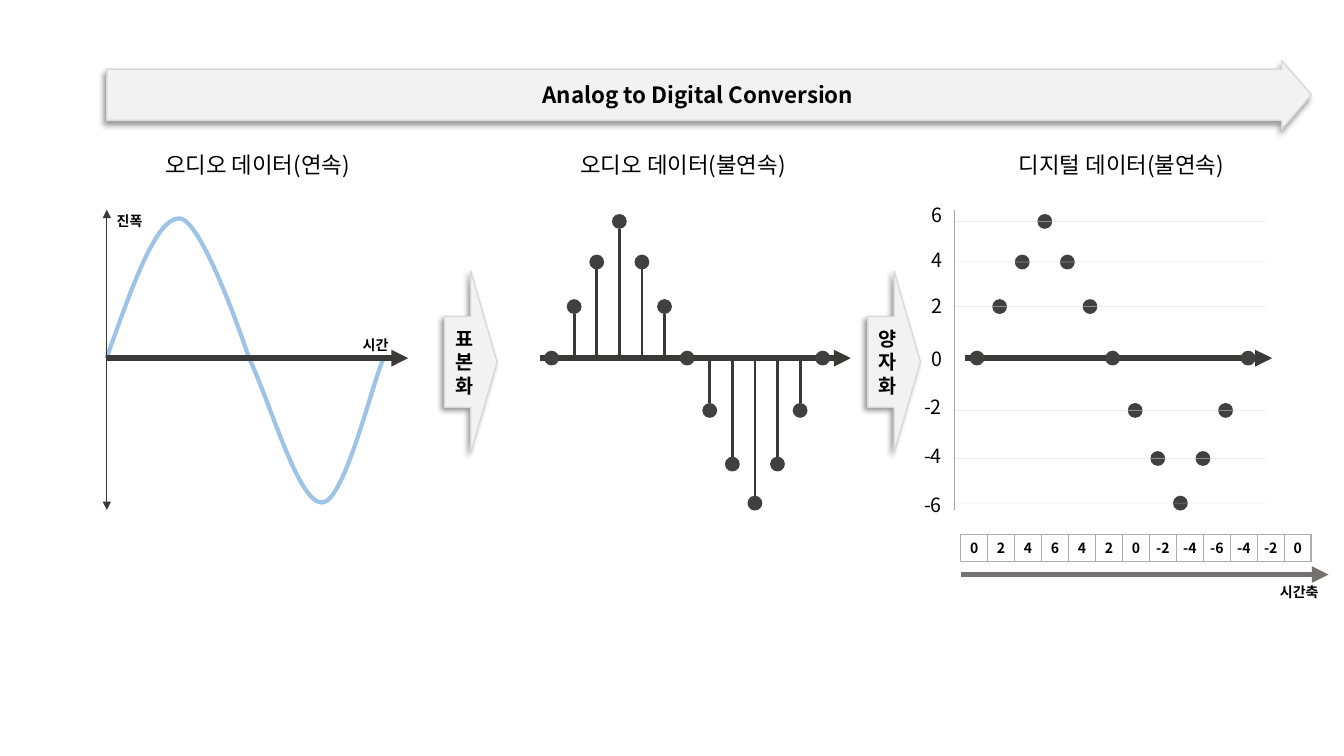
from dataclasses import dataclass

from lxml import etree
from pptx import Presentation
from pptx.dml.color import RGBColor
from pptx.enum.shapes import MSO_CONNECTOR, MSO_SHAPE
from pptx.enum.text import MSO_ANCHOR, MSO_AUTO_SIZE, PP_ALIGN
from pptx.oxml import parse_xml
from pptx.oxml.ns import nsdecls, qn
from pptx.util import Pt


@dataclass(frozen=True)
class Theme:
    font: str = "Noto Sans CJK KR"
    ink: str = "000000"
    wave: str = "9DC3E6"
    axis: str = "3B3838"
    time_axis: str = "767171"
    dot: str = "404040"
    arrow_fill: str = "F2F2F2"
    arrow_edge: str = "D9D9D9"
    grid: str = "D9D9D9"
    scale: str = "A5A5A5"
    cell_edge: str = "AFABAB"
    title: int = 16
    level: int = 14
    small: int = 10


class Diagram:
    def __init__(self, slide, theme):
        self.shapes = slide.shapes
        self.theme = theme

    def set_text(self, shape, text, size, bold=False, align=PP_ALIGN.CENTER, **frame_format):
        frame = shape.text_frame
        for name, value in frame_format.items():
            setattr(frame, name, value)
        paragraph = frame.paragraphs[0]
        paragraph.alignment = align
        run = paragraph.add_run()
        run.text = text
        for name, value in {"name": self.theme.font, "size": Pt(size), "bold": bold}.items():
            setattr(run.font, name, value)
        run.font.color.rgb = RGBColor.from_string(self.theme.ink)
        east_asian = etree.SubElement(run.font._element, qn("a:ea"))
        east_asian.set("typeface", self.theme.font)

    def label(self, text, left, top, width, height, size, bold=False, wrap=False,
              align=PP_ALIGN.LEFT):
        box = self.shapes.add_textbox(Pt(left), Pt(top), Pt(width), Pt(height))
        self.set_text(box, text, size, bold, align, word_wrap=wrap,
                      auto_size=MSO_AUTO_SIZE.SHAPE_TO_FIT_TEXT)

    def solid(self, kind, left, top, width, height, fill=None, edge=None):
        shape = self.shapes.add_shape(kind, Pt(left), Pt(top), Pt(width), Pt(height))
        shape.shadow.inherit = False
        if fill:
            shape.fill.solid()
            shape.fill.fore_color.rgb = RGBColor.from_string(fill)
        else:
            shape.fill.background()
        if edge:
            shape.line.color.rgb = RGBColor.from_string(edge)
            shape.line.width = Pt(1)
        else:
            shape.line.fill.background()
        return shape

    def block_arrow(self, text, left, top, width, height, size, adjustments=(0.5, 0.5)):
        """Draw a pale right arrow with a soft shadow to its lower left."""
        arrow = self.solid(MSO_SHAPE.RIGHT_ARROW, left, top, width, height,
                           self.theme.arrow_fill, self.theme.arrow_edge)
        for index, value in enumerate(adjustments):
            arrow.adjustments[index] = value
        effects = arrow._element.spPr.find(qn("a:effectLst"))
        effects.append(parse_xml(
            f'<a:outerShdw {nsdecls("a")} blurRad="{Pt(4)}" dist="{Pt(3)}" dir="8100000" '
            'algn="tr" rotWithShape="0"><a:srgbClr val="000000"><a:alpha val="40000"/>'
            '</a:srgbClr></a:outerShdw>'))
        self.set_text(arrow, text, size, True, word_wrap=True,
                      vertical_anchor=MSO_ANCHOR.MIDDLE)

    def cell(self, text, left, top, width, height):
        box = self.solid(MSO_SHAPE.RECTANGLE, left, top, width, height, edge=self.theme.cell_edge)
        margins = {f"margin_{side}": 0 for side in ("left", "top", "right", "bottom")}
        self.set_text(box, text, self.theme.small, True, word_wrap=True,
                      vertical_anchor=MSO_ANCHOR.MIDDLE, **margins)

    def dot(self, x, y):
        self.solid(MSO_SHAPE.OVAL, x - DOT / 2, y - DOT / 2, DOT, DOT, self.theme.dot)

    def line(self, x1, y1, x2, y2, color, width, ends=(), alpha=None):
        """Draw a line; ends names the arrowheads: headEnd, tailEnd or both."""
        line = self.shapes.add_connector(MSO_CONNECTOR.STRAIGHT, Pt(x1), Pt(y1), Pt(x2), Pt(y2))
        line.line.color.rgb = RGBColor.from_string(color)
        line.line.width = Pt(width)
        properties = line._element.spPr
        if alpha:
            tone = next(properties.iter(qn("a:srgbClr")))
            etree.SubElement(tone, qn("a:alpha")).set("val", str(alpha * 1000))
        for end in ends:
            etree.SubElement(properties.find(qn("a:ln")), qn(f"a:{end}")).set("type", "triangle")
        etree.SubElement(properties, qn("a:effectLst"))

    def curve(self, points, color, width):
        """Draw Bezier curves: a start, then two controls and an end for each."""
        builder = self.shapes.build_freeform(*points[0], scale=Pt(1))
        builder.add_line_segments(points[1:], close=False)
        wave = builder.convert_to_shape()
        wave.shadow.inherit = False
        wave.fill.background()
        wave.line.color.rgb = RGBColor.from_string(color)
        wave.line.width = Pt(width)
        outline = next(wave._element.iter(qn("a:path")))
        steps = outline.findall(qn("a:lnTo"))
        for first in range(0, len(steps), 3):
            bezier = etree.SubElement(outline, qn("a:cubicBezTo"))
            for step in steps[first:first + 3]:
                bezier.append(step[0])
                outline.remove(step)


DOT = 10.6
AXIS_Y = 255.8
TOP, BOTTOM = 149.8, 364.3
SAMPLE_GAP = 16.14
CELL = 19.26
SAMPLES = (0, 2, 4, 6, 4, 2, 0, -2, -4, -6, -4, -2, 0)
LEVEL_Y = {6: 158.2, 4: 187.2, 2: 219, 0: AXIS_Y, -2: 293.2, -4: 327.5, -6: 359.4}
SAMPLED_Y = {**LEVEL_Y, -4: 331.5}
LABEL_TOP = {6: 141.1, 4: 173.5, 2: 206.6, 0: 244.1, -2: 278.6, -4: 313.9, -6: 348.5}
WAVE = [(76.3, 255.8), (93.6, 205.9), (110.9, 155.5), (127.6, 156),
        (144.7, 156.2), (177.8, 256.3), (177.8, 256.3),
        (194.4, 290.2), (213.1, 359.1), (229.5, 359.3),
        (245.5, 359.3), (265.7, 272.9), (274.3, 255.8)]
HEADINGS = (("오디오 데이터(연속)", 76.3), ("오디오 데이터(불연속)", 380.2),
            ("디지털 데이터(불연속)", 693.4))


def draw_analog(diagram, theme):
    diagram.curve(WAVE, theme.wave, 3)
    diagram.line(75.6, AXIS_Y, 291.6, AXIS_Y, theme.axis, 4, ["tailEnd"])
    diagram.label("시간", 252, 236.9, 33.1, 19.4, theme.small, True)
    diagram.label("진폭", 76.3, 148.3, 33.1, 19.4, theme.small, True)
    diagram.line(76.3, TOP, 76.3, BOTTOM, theme.axis, 1, ["headEnd", "tailEnd"])


def draw_sampled(diagram, theme):
    diagram.line(385.6, AXIS_Y, 607.7, AXIS_Y, theme.axis, 4, ["tailEnd"])
    for index, sample in enumerate(SAMPLES):
        x, y = 394 + index * SAMPLE_GAP, SAMPLED_Y[sample]
        diagram.dot(x, y)
        if sample:
            edge = DOT / 2 if sample > 0 else -DOT / 2
            diagram.line(x, y + edge, x, AXIS_Y, theme.axis, 2)


def draw_quantized(diagram, theme):
    diagram.line(689, AXIS_Y, 908.6, AXIS_Y, theme.axis, 4, ["tailEnd"])
    for index, sample in enumerate(SAMPLES):
        diagram.dot(697.9 + index * SAMPLE_GAP, LEVEL_Y[sample])
    diagram.line(681.8, TOP, 681.8, BOTTOM, theme.scale, 0.5)
    for level, y in LEVEL_Y.items():
        left, width = (658.1, 23) if level >= 0 else (653, 28.8)
        diagram.label(str(level), left, LABEL_TOP[level], width, 24.5, theme.level)
        if level:
            diagram.line(680.4, y, 903.6, y, theme.grid, 0.5, alpha=50)
    for index, sample in enumerate(SAMPLES):
        diagram.cell(str(sample), 686.2 + index * CELL, 381.6, CELL, 19.5)
    diagram.line(686.2, 410.4, 949, 410.4, theme.time_axis, 4, ["tailEnd"])
    diagram.label("시간축", 907.2, 413.3, 42.5, 19.4, theme.small, True)


def main():
    presentation = Presentation()
    presentation.slide_width, presentation.slide_height = Pt(960), Pt(540)
    theme = Theme()
    diagram = Diagram(presentation.slides.add_slide(presentation.slide_layouts[6]), theme)
    diagram.block_arrow("Analog to Digital Conversion", 76.3, 43.2, 860.4, 49,
                        theme.title, (0.748, 0.431))
    for heading, left in HEADINGS:
        diagram.label(heading, left, 104.4, 215.3, 26.6, theme.title,
                      wrap=True, align=PP_ALIGN.CENTER)
    for step, left in (("표본화", 317.5), ("양자화", 619.9)):
        diagram.block_arrow(step, left, 193.7, 37.6, 129.6, theme.level)
    draw_analog(diagram, theme)
    draw_sampled(diagram, theme)
    draw_quantized(diagram, theme)
    presentation.save("out.pptx")


if __name__ == "__main__":
    main()
